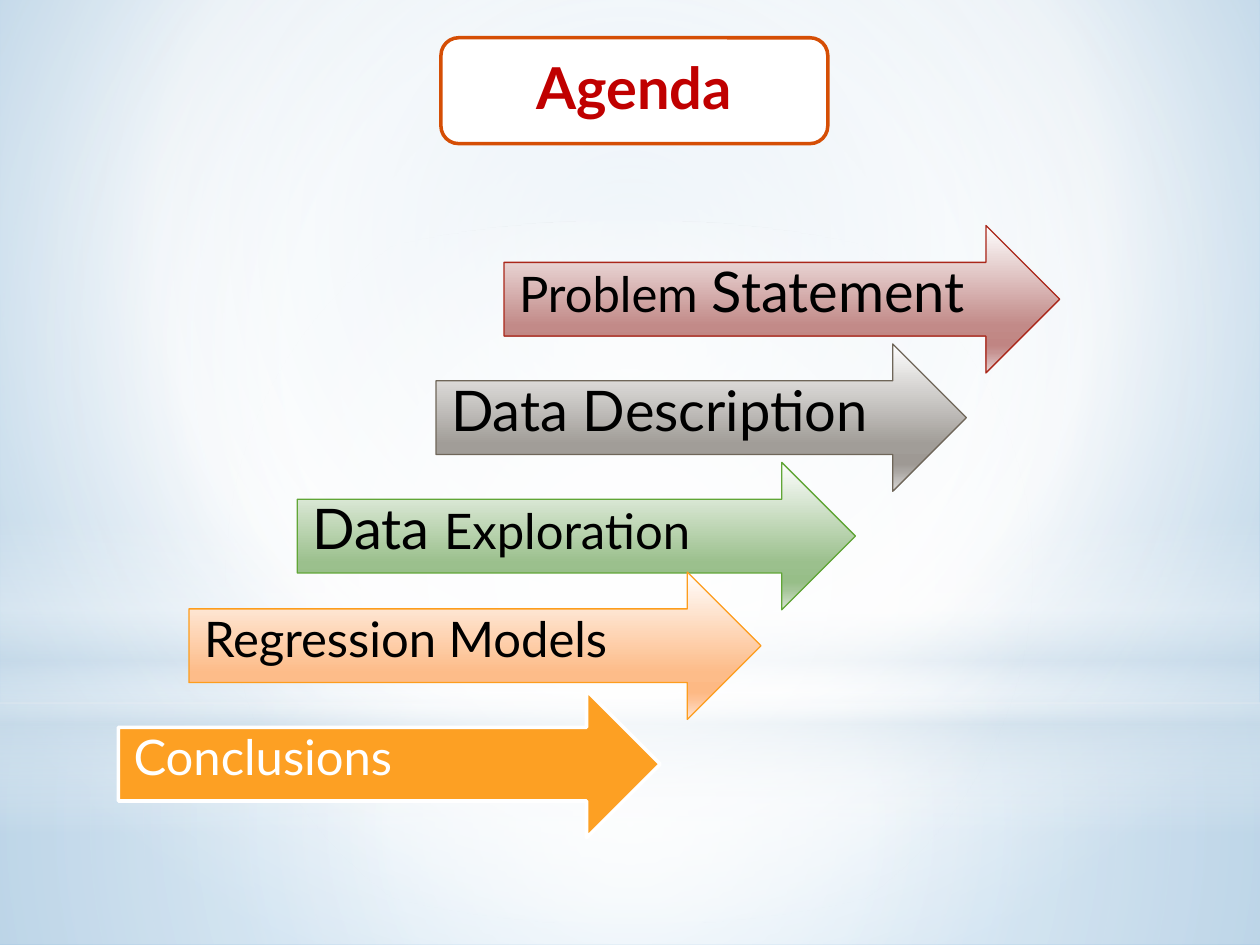
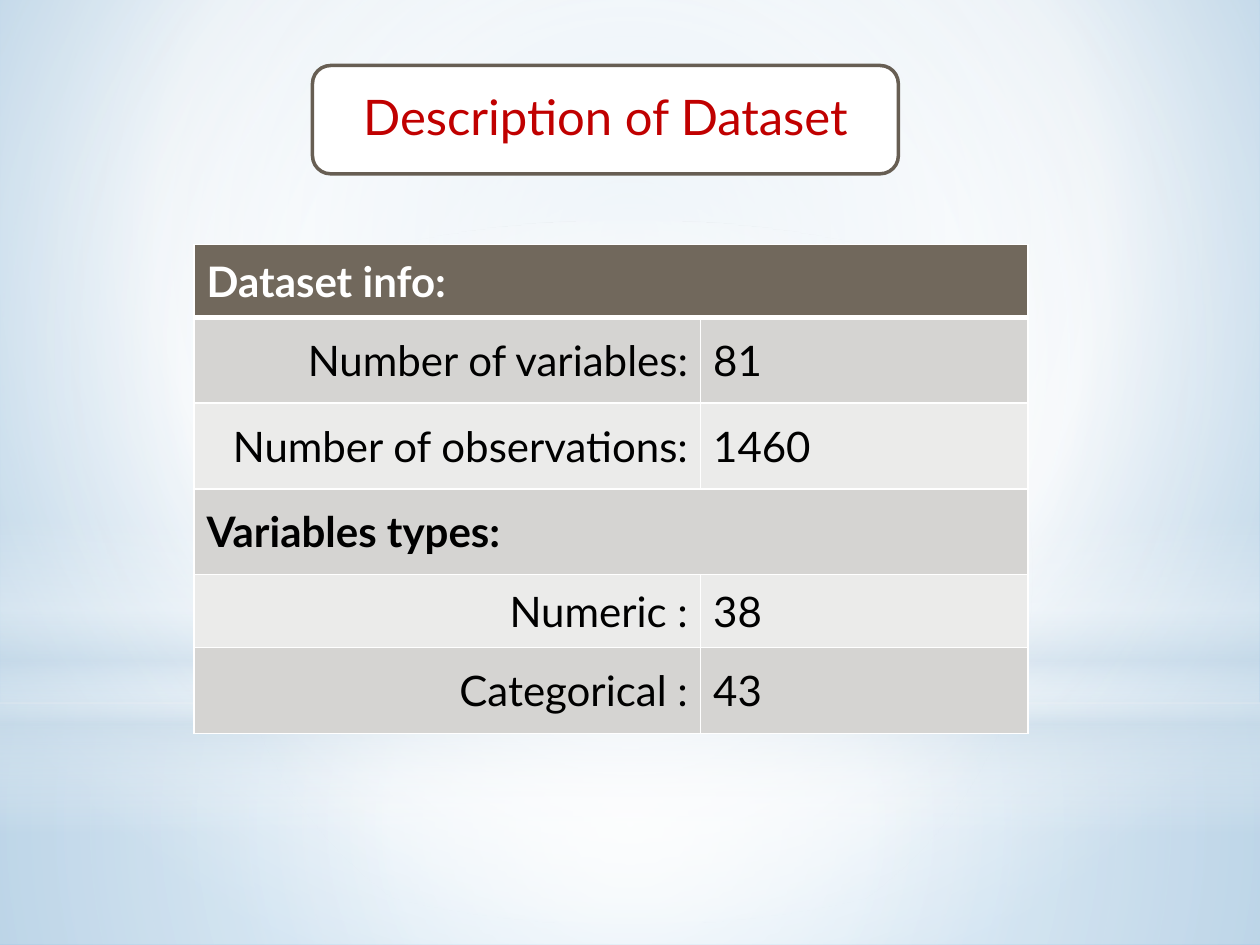
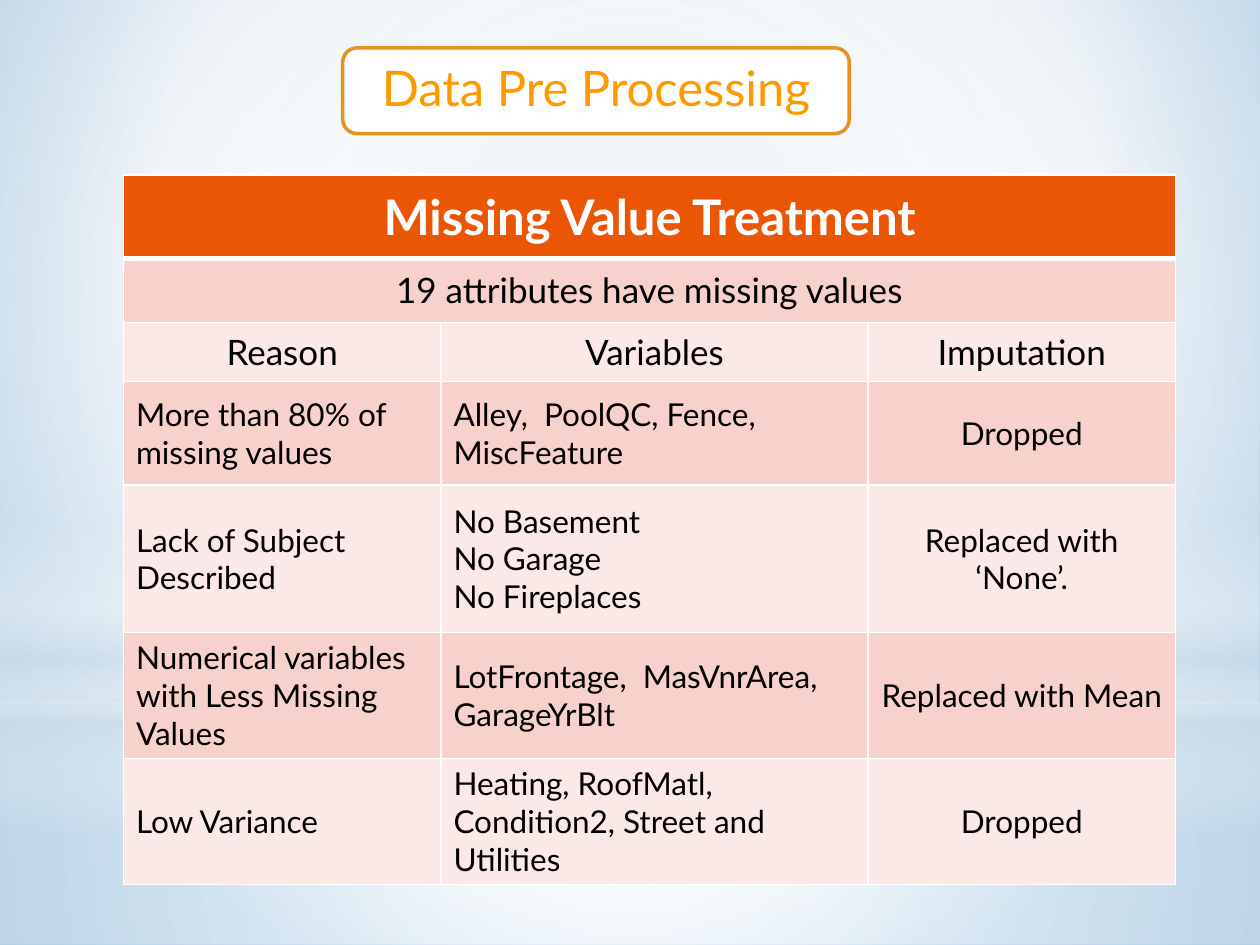
from dataclasses import dataclass

from lxml import etree
from pptx import Presentation
from pptx import util as u
from pptx.dml.color import RGBColor
from pptx.enum import shapes, text
from pptx.oxml.ns import qn

SHAPE = shapes.MSO_SHAPE
LEFT, CENTER, RIGHT = text.PP_ALIGN.LEFT, text.PP_ALIGN.CENTER, text.PP_ALIGN.RIGHT


@dataclass(frozen=True)
class Theme:
    font: str = "Lato"
    black: str = "000000"
    white: str = "FFFFFF"
    mist: str = "CCDDEA"
    red: str = "C00000"
    gold: str = "FF9900"
    orange: str = "FDA023"
    agenda: int = 33
    large: int = 32
    title: int = 28
    info: int = 24
    heading: int = 20
    body: int = 18


@dataclass(frozen=True)
class TableLook:
    header: str
    bands: tuple
    sizes: tuple
    aligns: tuple
    span_align: int
    bold_rows: tuple


T = Theme()
BROWN_TABLE = TableLook("71685C", ("D5D4D2", "EBEBEA"), (T.info,) * 6,
                        (RIGHT, LEFT), LEFT, (0, 3))
ORANGE_TABLE = TableLook("EB5605", ("F7D1CC", "FBE9E7"),
                         (T.title, T.heading, T.heading) + (T.body,) * 4,
                         (LEFT, LEFT, CENTER), CENTER, (0,))


def apply(obj, values):
    for name, value in values.items():
        setattr(obj, name, value)


def rgb(color):
    return RGBColor.from_string(color)


def inches(values):
    return [u.Inches(v) for v in values]


def set_gradient(fill, element, stops, focus=None):
    fill.gradient()
    grad = element.find(".//" + qn("a:gradFill"))
    for child in list(grad):
        grad.remove(child)
    stop_list = etree.SubElement(grad, qn("a:gsLst"))
    for pos, color, *alpha in stops:
        stop = etree.SubElement(stop_list, qn("a:gs"), pos=str(pos * 1000))
        clr = etree.SubElement(stop, qn("a:srgbClr"), val=color)
        if alpha:
            etree.SubElement(clr, qn("a:alpha"), val=str(alpha[0] * 1000))
    if focus:
        path = etree.SubElement(grad, qn("a:path"), path="circle")
        sides = {side: str(v * 1000) for side, v in zip("ltrb", focus)}
        etree.SubElement(path, qn("a:fillToRect"), **sides)
    else:
        etree.SubElement(grad, qn("a:lin"), ang="5400000", scaled="0")


def add_shape(s, kind, box, fill, line=None, focus=None):
    sp = s.shapes.add_shape(kind, *inches(box))
    sp.shadow.inherit = False
    if isinstance(fill, str):
        sp.fill.solid()
        sp.fill.fore_color.rgb = rgb(fill)
    else:
        set_gradient(sp.fill, sp.element, fill, focus)
    if line:
        sp.line.color.rgb, sp.line.width = rgb(line[0]), u.Pt(line[1])
    else:
        sp.line.fill.background()
    return sp


def add_run(p, words, size, color, bold=False):
    r = p.add_run()
    r.text = words
    apply(r.font, {"name": T.font, "size": u.Pt(size), "bold": bold})
    r.font.color.rgb = rgb(color)


def write_label(sp, runs, color, align, insets, bold=False):
    tf = sp.text_frame
    sides = ("margin_left", "margin_top", "margin_right", "margin_bottom")
    apply(tf, dict(zip(sides, inches(insets))))
    apply(tf, {"word_wrap": True, "vertical_anchor": text.MSO_ANCHOR.MIDDLE})
    p = tf.paragraphs[0]
    apply(p, {"alignment": align, "line_spacing": 0.9})
    for words, size in runs:
        add_run(p, words, size, color, bold)


def add_title(s, words, box, line, color, size=T.title, bold=False):
    sp = add_shape(s, SHAPE.ROUNDED_RECTANGLE, box, T.white, (line, 2))
    write_label(sp, [(words, size)], color, CENTER, [0.12] * 4, bold)


def add_arrow(s, left, top, width, runs, fill, line, color=T.black):
    sp = add_shape(s, SHAPE.RIGHT_ARROW, (left, top, width, 1.17), fill, line)
    write_label(sp, runs, color, LEFT, (0.12, 0.12, 0.28, 0.19))


def set_borders(cell, row):
    tc_pr = cell._tc.get_or_add_tcPr()
    widths = {"L": 1, "R": 1, "T": 3 if row == 1 else 1, "B": 3 if row == 0 else 1}
    for side, width in widths.items():
        ln = etree.SubElement(tc_pr, qn("a:ln" + side), w=str(u.Pt(width)))
        fill = etree.SubElement(ln, qn("a:solidFill"))
        etree.SubElement(fill, qn("a:srgbClr"), val=T.white)


def add_table(s, left, top, widths, heights, rows, look):
    box = inches((left, top, sum(widths), sum(heights)))
    table = s.shapes.add_table(len(rows), len(widths), *box).table
    for column, width in zip(table.columns, widths):
        column.width = u.Inches(width)
    for i, (values, height) in enumerate(zip(rows, heights)):
        table.rows[i].height = u.Inches(height)
        spans = len(values) == 1
        for j in range(len(widths)):
            cell = table.cell(i, j)
            set_borders(cell, i)
            cell.fill.solid()
            cell.fill.fore_color.rgb = rgb(look.bands[(i - 1) % 2] if i else look.header)
            cell.vertical_anchor = text.MSO_ANCHOR.MIDDLE
        if spans:
            table.cell(i, 0).merge(table.cell(i, len(widths) - 1))
        for j, value in enumerate(values):
            tf = table.cell(i, j).text_frame
            for n, words in enumerate(value.split("\n")):
                p = tf.add_paragraph() if n else tf.paragraphs[0]
                centred = look is ORANGE_TABLE and i == 2
                p.alignment = look.span_align if spans or centred else look.aligns[j]
                add_run(p, words, look.sizes[i], T.black if i else T.white,
                        i in look.bold_rows)


def build_backdrop(prs, layout, s):
    master = prs.slide_master
    set_gradient(master.background.fill, master.element,
                 [(0, "BCD5E8"), (60, T.white), (100, "82B6DE")], (20, 10, 20, 60))
    for holder in list(layout.placeholders):
        holder.element.getparent().remove(holder.element)
    middle = (50, 50, 50, 50)
    layers = [
        (SHAPE.RECTANGLE, (0, 5.58, 10, 1.92), middle,
         [(0, T.white, 91), (37, T.white, 76), (100, T.mist, 79)]),
        (SHAPE.RECTANGLE, (0, 0, 10, 5.58), middle,
         [(0, T.white, 89), (48, T.white, 62), (100, T.mist, 79)]),
        (SHAPE.RECTANGLE, (0, 4.12, 10, 2.5), None,
         [(0, T.white, 0), (29, T.white, 30), (45, T.mist, 40),
          (55, T.white, 26), (65, T.mist, 60), (100, T.white, 0)]),
        (SHAPE.OVAL, (0, 1.75, 10, 5.58), middle,
         [(0, T.white), (56, T.white, 0)]),
    ]
    for kind, box, focus, stops in layers:
        sp = add_shape(s, kind, box, stops, focus=focus)
        layout.shapes.element.append(sp.element)


def build_agenda(s):
    add_title(s, "Agenda", (3.5, 0.3, 3.07, 0.84), "D54E05", T.red, T.agenda, True)
    positions = (0, 68, 81, 86, 100)
    items = [
        (4, 1.79, 4.41, [("Problem", T.title), (" Statement", T.large)],
         ("FEFEFE", "C28A88", "C08583", "C69392", "E6D4D4"), "AA271A"),
        (3.46, 2.73, 4.21, [("Data Description", T.large)],
         ("FEFEFE", "A19D98", "9E9994", "A8A4A0", "DBDAD8"), "6F6659"),
        (2.36, 3.67, 4.43, [("Data ", T.large), ("Exploration", T.title)],
         ("FEFEFE", "9BC08D", "97BE88", "A3C496", "D9E5D5"), "61A637"),
        (1.5, 4.54, 4.54, [("Regression Models", T.title)],
         ("FFFEFE", "FDBC89", "FDB984", "FEC092", "FEE4D4"), "FD9D1D"),
    ]
    for left, top, width, runs, colors, line in items:
        add_arrow(s, left, top, width, runs, list(zip(positions, colors)), (line, 0.75))
    add_arrow(s, 0.94, 5.48, 4.3, [("Conclusions", T.title)], T.orange,
              (T.white, 2), T.white)


def build_dataset(s):
    add_title(s, "Description of Dataset", (2.48, 0.52, 4.65, 0.86), "675E53", T.red)
    rows = [
        ["Dataset info:"],
        ["Number of variables:", "81"],
        ["Number of observations:", "1460"],
        ["Variables types:"],
        ["Numeric :", "38"],
        ["Categorical :", "43"],
    ]
    add_table(s, 1.54, 1.94, (4.02, 2.6), (0.58, 0.68, 0.68, 0.68, 0.58, 0.68),
              rows, BROWN_TABLE)


def build_processing(s):
    add_title(s, "Data Pre Processing", (2.72, 0.38, 4.02, 0.68), "E69120", T.gold)
    rows = [
        ["Missing Value Treatment"],
        ["19 attributes have missing values"],
        ["Reason", "Variables", "Imputation"],
        ["More than 80% of missing values", "Alley,  PoolQC, Fence,  MiscFeature",
         "Dropped"],
        ["Lack of Subject Described", "No Basement\nNo Garage\nNo Fireplaces",
         "Replaced with ‘None’."],
        ["Numerical variables with Less Missing Values",
         "LotFrontage,  MasVnrArea, GarageYrBlt", "Replaced with Mean"],
        ["Low Variance", "Heating, RoofMatl, Condition2, Street and Utilities", "Dropped"],
    ]
    add_table(s, 0.98, 1.39, (2.52, 3.39, 2.44), (0.66, 0.51, 0.47, 0.82, 1.17, 1, 1),
              rows, ORANGE_TABLE)


def main():
    prs = Presentation()
    prs.slide_width, prs.slide_height = inches((10, 7.5))
    layout = prs.slide_layouts[6]
    builders = (build_agenda, build_dataset, build_processing)
    slides = [prs.slides.add_slide(layout) for _ in builders]
    build_backdrop(prs, layout, slides[0])
    for build, s in zip(builders, slides):
        build(s)
    prs.save("out.pptx")


if __name__ == "__main__":
    main()
